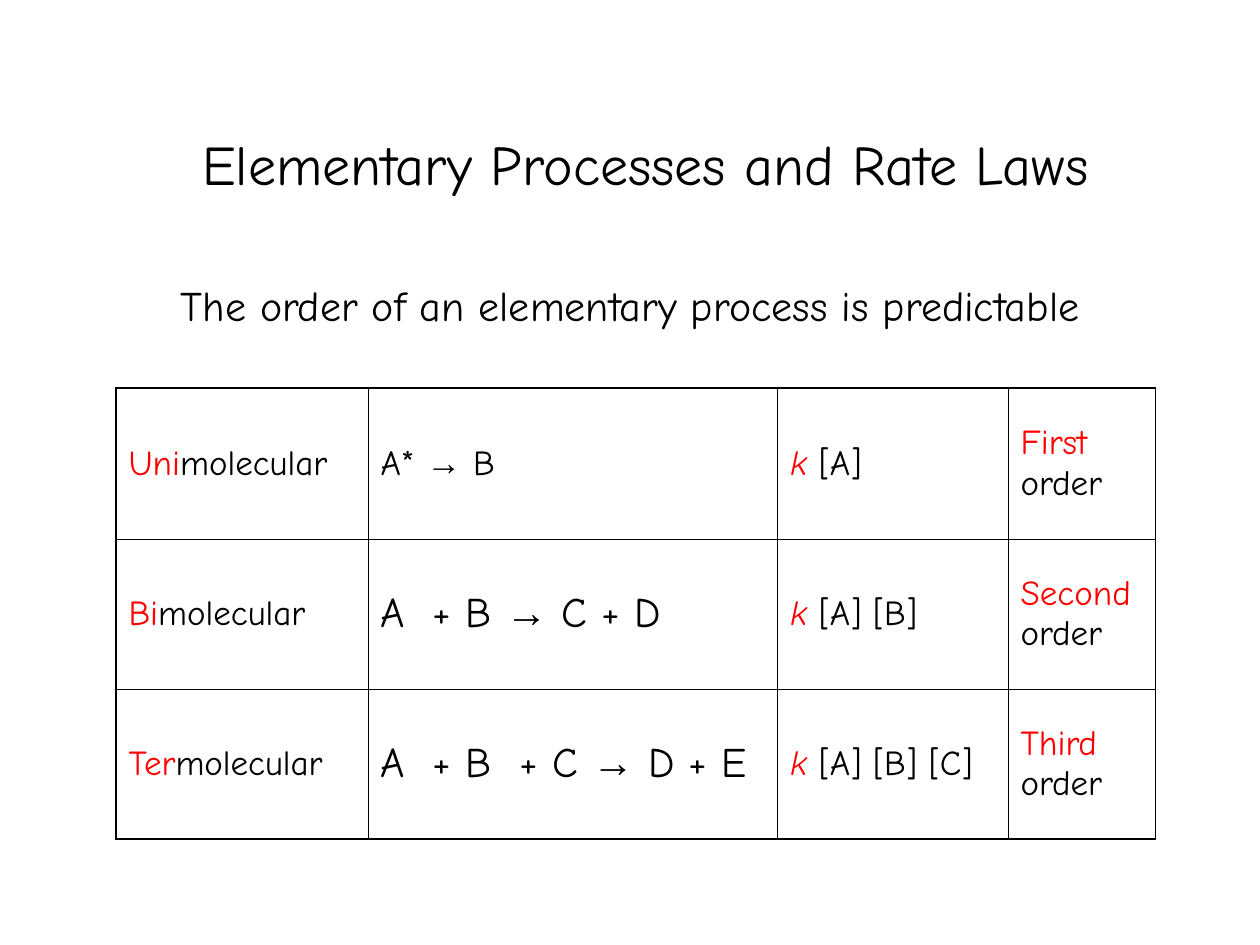
from pptx import Presentation
from pptx.dml.color import RGBColor
from pptx.enum.text import MSO_ANCHOR as Anchor, PP_ALIGN as Align
from pptx.oxml.ns import qn
from pptx.util import Inches, Pt
from lxml.etree import SubElement

COLORS = {"text": "000000", "accent": "FF0000"}
FONT, ARROW_FONT = "Comic Neue", "Arial"
ARROW = "→"
THIN, THICK = 0.45, 1.08
COL_WIDTHS = [2, 3.25, 1.83, 1.17]
ROW_HEIGHTS = [1.2, 1.19, 1.19]
PROCESSES = [
    ("Uni", "A* ", " B", 20, " [A]", "First"),
    ("Bi", "A  + B ", " C + D", 24, " [A] [B]", "Second"),
    ("Ter", "A  + B  + C ", " D + E", 24, " [A] [B] [C]", "Third"),
]


def add_run(p, text, size, color="text", font=FONT, italic=False):
    r = p.add_run()
    r.text = text
    r.font.size = Pt(size)
    r.font.name = font
    r.font.italic = italic
    r.font.color.rgb = RGBColor.from_string(COLORS[color])


def fill_placeholder(sp, box, text, size, anchor):
    sp.left, sp.top, sp.width, sp.height = [Inches(v) for v in box]
    tf = sp.text_frame
    tf.word_wrap = True
    tf.vertical_anchor = anchor
    p = tf.paragraphs[0]
    p.alignment = Align.CENTER
    p.space_before = Pt(0)
    pPr = p._p.get_or_add_pPr()
    pPr.set("marL", "0")
    pPr.set("indent", "0")
    SubElement(pPr, qn("a:buNone"))
    add_run(p, text, size)


def set_borders(cell, widths):
    tcPr = cell._tc.get_or_add_tcPr()
    for side, width in zip("LRTB", widths):
        ln = SubElement(tcPr, qn(f"a:ln{side}"), w=str(Pt(width)))
        fill = SubElement(ln, qn("a:solidFill"))
        SubElement(fill, qn("a:srgbClr"), val=COLORS["text"])


def fill_cell(cell, runs, size):
    cell.vertical_anchor = Anchor.MIDDLE
    p = cell.text_frame.paragraphs[0]
    for text, style in runs:
        add_run(p, text, size, **style)


def add_process_table(s):
    rows, cols = len(ROW_HEIGHTS), len(COL_WIDTHS)
    frame = s.shapes.add_table(rows, cols, Inches(0.92), Inches(3.08),
                               Inches(sum(COL_WIDTHS)), Inches(sum(ROW_HEIGHTS)))
    table = frame.table
    table.first_row = table.horz_banding = False
    for col, width in zip(table.columns, COL_WIDTHS):
        col.width = Inches(width)
    accent = {"color": "accent"}
    for i, (prefix, reactants, products, size, factors, order) in enumerate(PROCESSES):
        table.rows[i].height = Inches(ROW_HEIGHTS[i])
        contents = [
            ([(prefix, accent), ("molecular", {})], 20),
            ([(reactants, {}), (ARROW, {"font": ARROW_FONT}), (products, {})], size),
            ([("k", {"color": "accent", "italic": True}), (factors, {})], 20),
            ([(order, accent), (" order", {})], 20),
        ]
        for j, (runs, text_size) in enumerate(contents):
            cell = table.cell(i, j)
            outer = (j == 0, j == cols - 1, i == 0, i == rows - 1)
            set_borders(cell, [THICK if edge else THIN for edge in outer])
            cell.fill.background()
            fill_cell(cell, runs, text_size)


def main():
    prs = Presentation()
    prs.slide_width, prs.slide_height = Inches(10), Inches(7.5)
    s = prs.slides.add_slide(prs.slide_layouts[1])
    fill_placeholder(s.shapes.title, (0.5, 0.67, 9.25, 1.25),
                     "Elementary Processes and Rate Laws", 32, Anchor.MIDDLE)
    fill_placeholder(s.placeholders[1], (0.75, 2.17, 8.5, 4.5),
                     "The order of an elementary process is predictable", 24, Anchor.TOP)
    add_process_table(s)
    prs.save("out.pptx")


if __name__ == "__main__":
    main()
